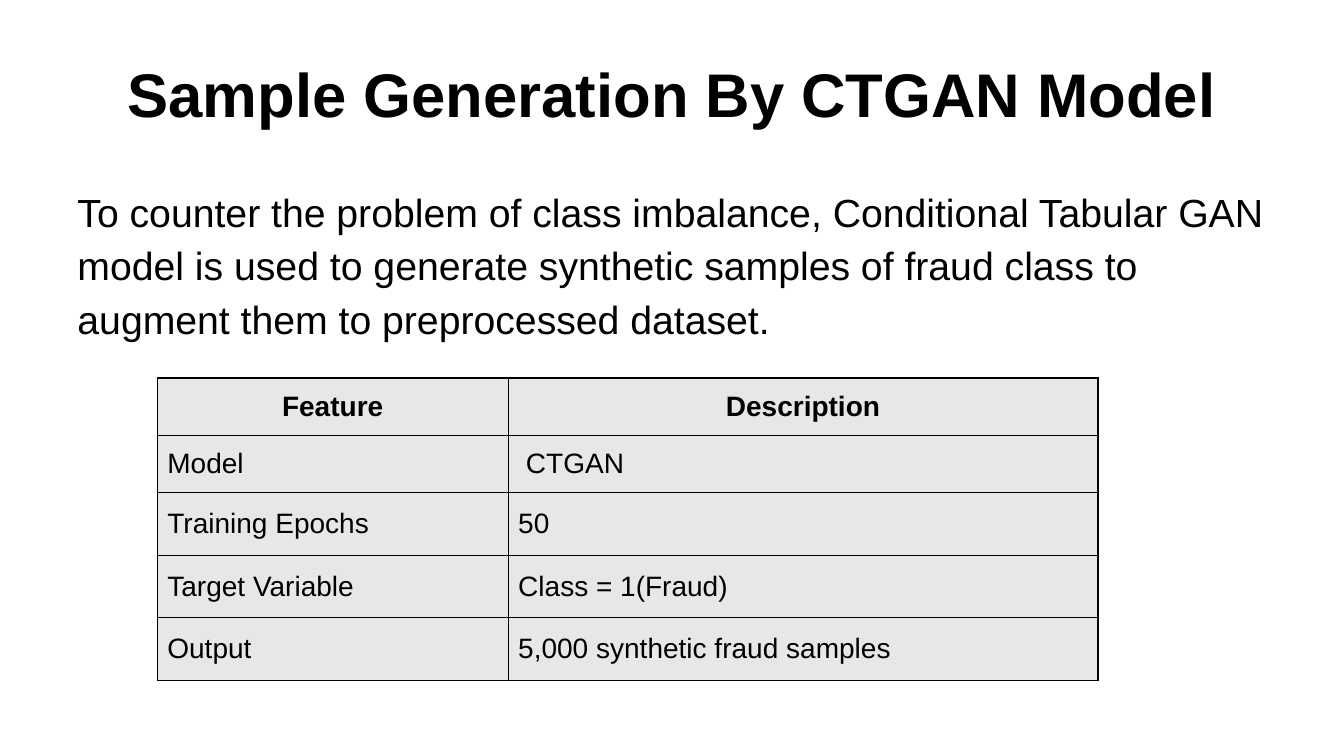
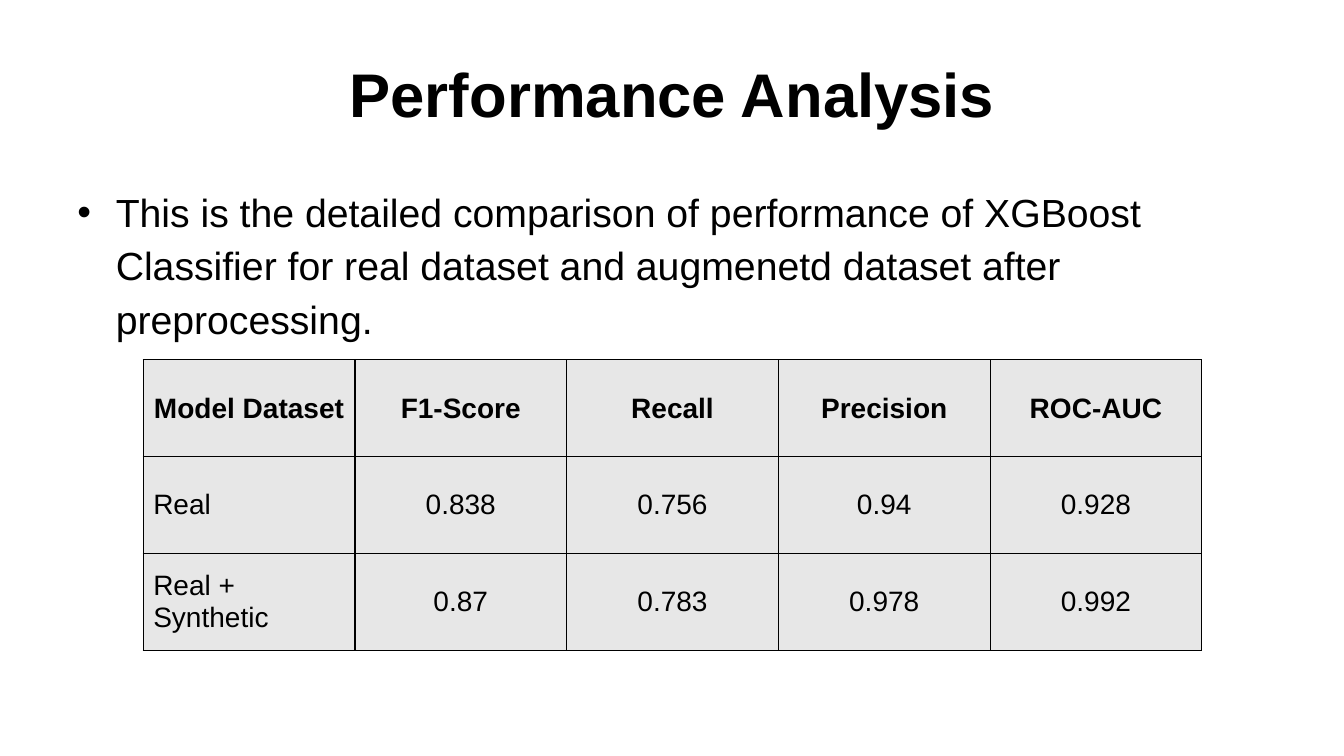
from dataclasses import dataclass

from lxml import etree
from pptx import Presentation
from pptx import util as u
from pptx.dml import color
from pptx.enum import text
from pptx.oxml import ns

LEFT, CENTER = text.PP_ALIGN.LEFT, text.PP_ALIGN.CENTER
TITLE_ONLY = 5


@dataclass(frozen=True)
class Theme:
    font: str = "Arial"
    ink: str = "000000"
    paper: str = "FFFFFF"
    cell: str = "E7E7E7"
    title: int = 44
    body: int = 28
    table: int = 20
    line_spacing: float = 1.14
    border: float = 1
    bullet_indent: float = 0.38


def rgb(value):
    return color.RGBColor.from_string(value)


def sub(parent, tag, **attrs):
    return etree.SubElement(parent, ns.qn(tag), {k: str(v) for k, v in attrs.items()})


class Deck:
    def __init__(self, theme):
        self.theme = theme
        self.prs = Presentation()
        self.prs.slide_width = u.Inches(13.33)
        self.prs.slide_height = u.Inches(7.5)
        self.slide = None

    def add_text(self, p, words, size, bold=False, align=LEFT):
        r = p.add_run()
        r.text = words
        p.alignment = align
        fmt = {"name": self.theme.font, "size": u.Pt(size), "bold": bold}
        for key, value in fmt.items():
            setattr(r.font, key, value)
        r.font.color.rgb = rgb(self.theme.ink)

    def add_slide(self, title):
        self.slide = self.prs.slides.add_slide(self.prs.slide_layouts[TITLE_ONLY])
        fill = self.slide.background.fill
        fill.solid()
        fill.fore_color.rgb = rgb(self.theme.paper)
        sp = self.slide.shapes.title
        box = {"left": 0.67, "top": 0.3, "width": 12, "height": 1.25}
        for key, value in box.items():
            setattr(sp, key, u.Inches(value))
        tf = sp.text_frame
        tf.auto_size = text.MSO_AUTO_SIZE.NONE
        tf.vertical_anchor = text.MSO_ANCHOR.MIDDLE
        self.add_text(tf.paragraphs[0], title, self.theme.title, True, CENTER)

    def body(self, words, bullet=False):
        at = [u.Inches(v) for v in (0.67, 1.75, 12, 4.95)]
        tf = self.slide.shapes.add_textbox(*at).text_frame
        tf.word_wrap = True
        p = tf.paragraphs[0]
        p.line_spacing = self.theme.line_spacing
        if bullet:
            pPr = p._p.get_or_add_pPr()
            indent = u.Inches(self.theme.bullet_indent)
            pPr.set("marL", str(indent))
            pPr.set("indent", str(-indent))
            sub(pPr, "a:buFont", typeface=self.theme.font)
            sub(pPr, "a:buChar", char="•")
        self.add_text(p, words, self.theme.body)

    def borders(self, cell):
        tcPr = cell._tc.get_or_add_tcPr()
        for side in "LRTB":
            ln = sub(tcPr, f"a:ln{side}", w=u.Pt(self.theme.border))
            sub(sub(ln, "a:solidFill"), "a:srgbClr", val=self.theme.ink)

    def table(self, left, top, widths, heights, rows, value_align):
        at = [u.Inches(v) for v in (left, top, sum(widths), sum(heights))]
        table = self.slide.shapes.add_table(len(rows), len(widths), *at).table
        table.first_row = table.horz_banding = False
        for col, width in zip(table.columns, widths):
            col.width = u.Inches(width)
        for row, height in zip(table.rows, heights):
            row.height = u.Inches(height)
        for i, row in enumerate(rows):
            for j, words in enumerate(row):
                cell = table.cell(i, j)
                self.borders(cell)
                cell.fill.solid()
                cell.fill.fore_color.rgb = rgb(self.theme.cell)
                cell.vertical_anchor = text.MSO_ANCHOR.MIDDLE
                header = i == 0
                align = CENTER if header else value_align if j else LEFT
                p = cell.text_frame.paragraphs[0]
                self.add_text(p, words, self.theme.table, header, align)


def main():
    deck = Deck(Theme())

    deck.add_slide("Sample Generation By CTGAN Model")
    deck.body(
        "To counter the problem of class imbalance, Conditional Tabular GAN model "
        "is used to generate synthetic samples of fraud class to augment them to "
        "preprocessed dataset."
    )
    settings = [
        ("Feature", "Description"),
        ("Model", " CTGAN"),
        ("Training Epochs", "50"),
        ("Target Variable", "Class = 1(Fraud)"),
        ("Output", "5,000 synthetic fraud samples"),
    ]
    deck.table(1.56, 3.75, [3.48, 5.85], [0.57] * 2 + [0.62] * 3, settings, LEFT)

    deck.add_slide("Performance Analysis")
    deck.body(
        "This is the detailed comparison of performance of XGBoost Classifier for "
        "real dataset and augmenetd dataset after preprocessing.",
        bullet=True,
    )
    scores = [
        ("Model Dataset", "F1-Score", "Recall", "Precision", "ROC-AUC"),
        ("Real", "0.838", "0.756", "0.94", "0.928"),
        ("Real + Synthetic", "0.87", "0.783", "0.978", "0.992"),
    ]
    deck.table(1.42, 3.57, [2.1] * 5, [0.96] * 3, scores, CENTER)

    deck.prs.save("out.pptx")


if __name__ == "__main__":
    main()
